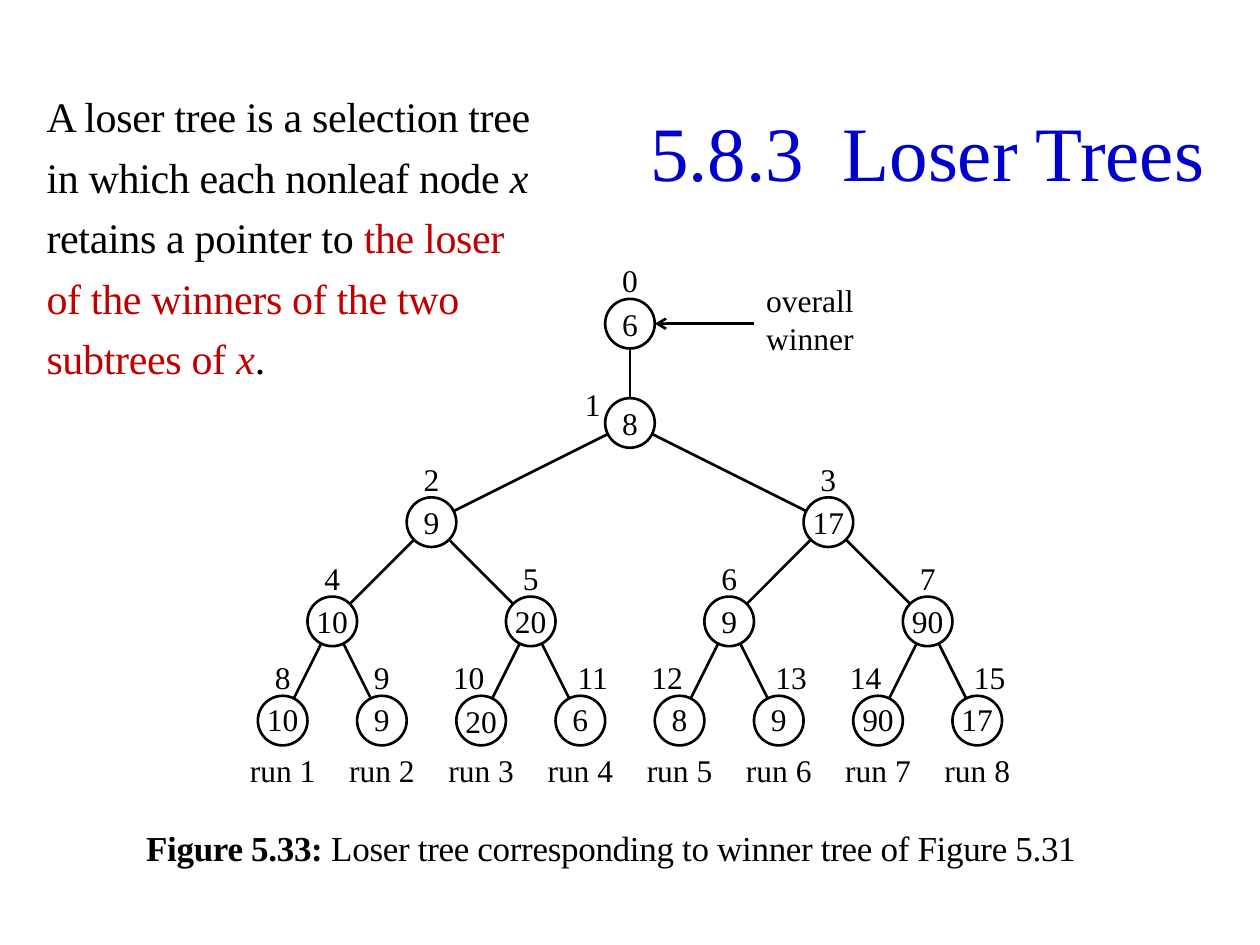
"""Build the loser tree slide."""
from pptx import Presentation
from pptx.dml.color import RGBColor
from pptx.enum.shapes import MSO_CONNECTOR as Line, MSO_SHAPE as Shape
from pptx.enum.text import MSO_ANCHOR as Anchor, MSO_AUTO_SIZE as Fit, PP_ALIGN as Align
from pptx.oxml.ns import qn
from pptx.util import Pt
from lxml.etree import SubElement

BLACK = RGBColor(0x00, 0x00, 0x00)
WHITE = RGBColor(0xFF, 0xFF, 0xFF)
BLUE = RGBColor(0x00, 0x00, 0xCC)
RED = RGBColor(0xC0, 0x00, 0x00)
FACE = "Times New Roman"
UNIT = 28.35
MID = 360
TOP = 185

deck = Presentation()
deck.slide_width, deck.slide_height = Pt(720), Pt(540)
slide = deck.slides.add_slide(deck.slide_layouts[3])
shapes = slide.shapes


def write(shape, text, anchor=Anchor.MIDDLE, align=Align.CENTER):
    frame = shape.text_frame
    frame.margin_left = frame.margin_right = 0
    frame.margin_top = frame.margin_bottom = 0
    frame.word_wrap = True
    frame.vertical_anchor = anchor
    frame.text = text
    for para in frame.paragraphs:
        para.alignment = align
        font = para.runs[0].font
        font.name, font.size = FACE, Pt(18)
        font.color.rgb = BLACK


def link(start, end):
    line = shapes.add_connector(Line.STRAIGHT, *map(Pt, start + end))
    line.line.color.rgb = BLACK
    line.line.width = Pt(1.5)
    SubElement(line._element.spPr, qn("a:effectLst"))
    return line


title, intro, note = slide.placeholders
places = [
    (title, 360, 57.6, 339.8, 56.9),
    (intro, 19.4, 42.5, 295.2, 182.2),
    (note, 76.3, 468.7, 566.6, 28.1),
]
for holder, *box in places:
    holder.left, holder.top, holder.width, holder.height = map(Pt, box)
    holder.text_frame.auto_size = Fit.NONE

title.text_frame.text = "5.8.3  Loser Trees"
title.text_frame.vertical_anchor = Anchor.MIDDLE
head = title.text_frame.paragraphs[0]
head.alignment = Align.CENTER
head.font.name, head.font.size = FACE, Pt(44)
head.runs[0].font.color.rgb = BLUE

texts = [
    (intro, 24, [
        ("A loser tree is a selection tree in which each nonleaf node ", BLACK, False, False),
        ("x", BLACK, False, True),
        (" retains a pointer to ", BLACK, False, False),
        ("the loser of the winners of the two subtrees of ", RED, False, False),
        ("x", RED, False, True),
        (".", BLACK, False, False),
    ]),
    (note, 20, [
        ("Figure 5.33:", BLACK, True, False),
        (" Loser tree corresponding to winner tree of Figure 5.31", BLACK, False, False),
    ]),
]
for holder, size, parts in texts:
    para = holder.text_frame.paragraphs[0]
    props = para._p.get_or_add_pPr()
    props.set("marL", "0")
    props.set("indent", "0")
    SubElement(props, qn("a:buNone"))
    for text, color, bold, slant in parts:
        run = para.add_run()
        run.text = text
        font = run.font
        font.name, font.size = FACE, Pt(size)
        font.bold, font.italic = bold, slant
        font.color.rgb = color
        run._r.get_or_add_rPr().set("spc", "-20")
intro.text_frame.paragraphs[0].line_spacing = 1.2

keys = [6, 8, 9, 17, 10, 20, 9, 90, 10, 9, 20, 6, 8, 9, 90, 17]
spots = [(MID, TOP)]
for depth in range(4):
    count = 2 ** depth
    for place in range(count):
        x = MID + UNIT * 8 / count * (2 * place + 1 - count)
        spots.append((x, TOP + 2 * UNIT * (depth + 1)))

for node in range(1, 16):
    link(spots[node // 2], spots[node])

for node, (key, (x, y)) in enumerate(zip(keys, spots)):
    left, top = x - UNIT / 2, y - UNIT / 2
    disc = shapes.add_shape(Shape.OVAL, Pt(left), Pt(top), Pt(UNIT), Pt(UNIT))
    disc.shadow.inherit = False
    disc.fill.solid()
    disc.fill.fore_color.rgb = WHITE
    disc.line.color.rgb = BLACK
    disc.line.width = Pt(1.5)
    low = node >= 8 and node != 10
    write(disc, str(key), Anchor.BOTTOM if low else Anchor.MIDDLE)

    shift, drop = 0, 0
    if node == 1:
        shift, drop = -0.75 * UNIT, UNIT / 2
    elif node >= 10:
        shift = UNIT / 4 if node % 2 else -UNIT / 4
    label = shapes.add_textbox(Pt(left + shift), Pt(top - UNIT + drop), Pt(UNIT), Pt(UNIT))
    write(label, str(node), Anchor.BOTTOM)

    if node >= 8:
        name = shapes.add_textbox(Pt(x - UNIT), Pt(y + UNIT / 2), Pt(2 * UNIT), Pt(UNIT))
        write(name, f"run {node - 7}")

arrow = link((MID + 2.5 * UNIT, TOP), (MID + UNIT / 2, TOP))
SubElement(arrow.line._get_or_add_ln(), qn("a:tailEnd"), type="arrow")
winner = shapes.add_textbox(Pt(437.8), Pt(160.6), Pt(63), Pt(49.6))
write(winner, "overall\nwinner", Anchor.TOP, Align.LEFT)

deck.save("out.pptx")
